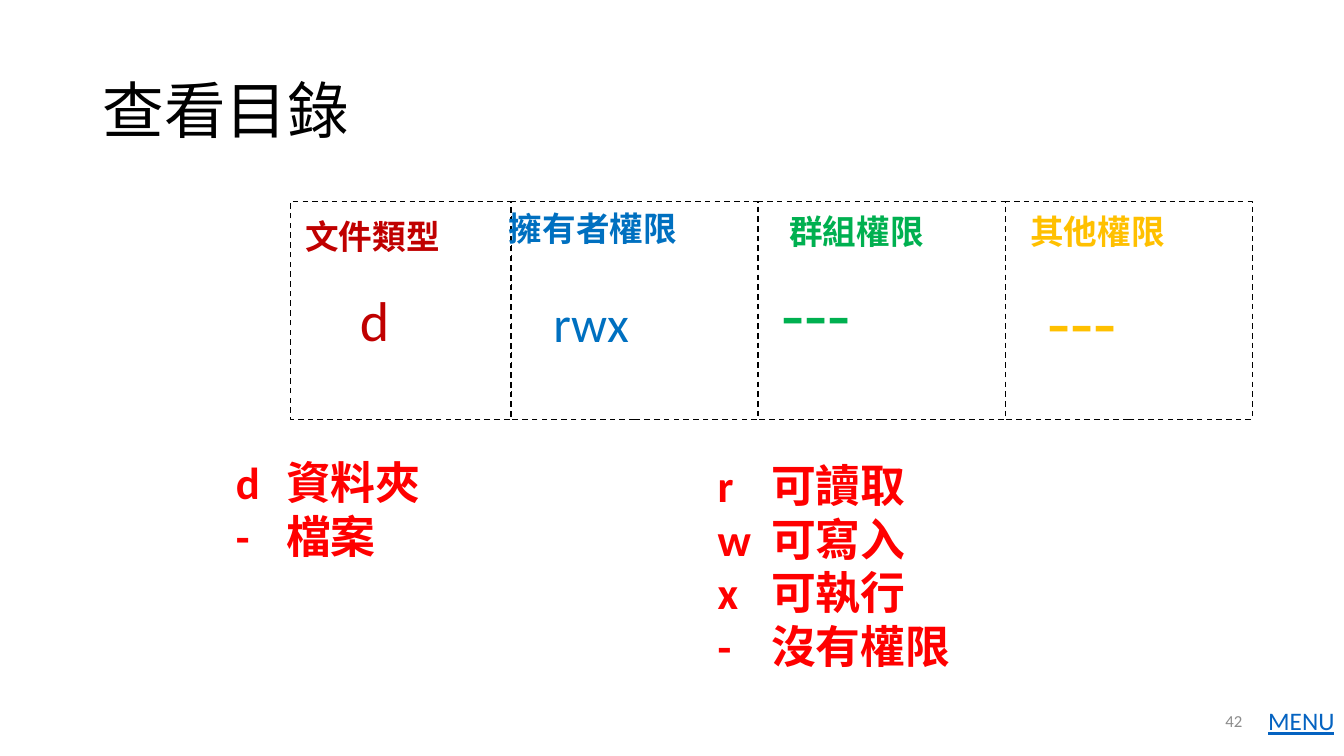
import pptx
import pptx.dml.color
import pptx.enum.dml
import pptx.enum.shapes
import pptx.enum.text
import pptx.util
from lxml import etree
from pptx.oxml.ns import qn
from pptx.util import Inches

COLORS = {
    "black": "000000",
    "type": "C00000",
    "owner": "0070C0",
    "group": "00B050",
    "other": "FFC000",
    "legend": "FF0000",
    "link": "0563C1",
    "number": "8C8C8C",
}
FONT = "Calibri"
ANCHOR = pptx.enum.text.MSO_ANCHOR
ALIGN = pptx.enum.text.PP_ALIGN


def rgb(name):
    return pptx.dml.color.RGBColor.from_string(COLORS[name])


def add_tab(p, position):
    tabs = etree.SubElement(p._p.get_or_add_pPr(), qn("a:tabLst"))
    etree.SubElement(tabs, qn("a:tab"), pos=str(Inches(position)), algn="l")


def add_text(s, box, lines, size, color, bold=False, underline=False, wrap=True,
             anchor=ANCHOR.TOP, align=ALIGN.LEFT, spacing=None, tab=None):
    sp = s.shapes.add_textbox(*(Inches(v) for v in box))
    tf = sp.text_frame
    tf.word_wrap = wrap
    tf.vertical_anchor = anchor
    for i, line in enumerate(lines):
        p = tf.paragraphs[0] if i == 0 else tf.add_paragraph()
        p.alignment = align
        if spacing:
            p.line_spacing = spacing
        if tab:
            add_tab(p, tab)
        r = p.add_run()
        r.text = line
        r.font.name = FONT
        r.font.size = pptx.util.Pt(size)
        r.font.bold = bold
        r.font.underline = underline
        r.font.color.rgb = rgb(color)
    return sp


def add_cell(s, left, width):
    sp = s.shapes.add_shape(pptx.enum.shapes.MSO_SHAPE.RECTANGLE, Inches(left),
                            Inches(2), Inches(width), Inches(2.16))
    sp.shadow.inherit = False
    sp.fill.background()
    sp.line.color.rgb = rgb("black")
    sp.line.width = pptx.util.Pt(1)
    sp.line.dash_style = pptx.enum.dml.MSO_LINE.DASH


def add_legend(s, box, entries, tab):
    lines = [f"{flag}\t{meaning}" for flag, meaning in entries]
    add_text(s, box, lines, 32, "legend", bold=True, tab=tab)


def main():
    prs = pptx.Presentation()
    prs.slide_width = Inches(13.33)
    prs.slide_height = Inches(7.5)
    s = prs.slides.add_slide(prs.slide_layouts[6])

    # Title
    add_text(s, (0.92, 0.4, 11.5, 1.45), ["查看目錄"], 44, "black",
             anchor=ANCHOR.MIDDLE, spacing=0.9)

    # Legends of file types and permission flags
    add_legend(s, (7.02, 4.49, 5.17, 2.26),
               [("r", "可讀取"), ("w", "可寫入"), ("x", "可執行"), ("-", "沒有權限")], 0.53)
    add_legend(s, (2.24, 4.46, 3.86, 1.58), [("d", "資料夾"), ("-", "檔案")], 0.5)

    # Dashed cells, side by side
    left = 2.88
    for width in (2.19, 2.45, 2.45, 2.45):
        add_cell(s, left, width)
        left += width

    # Heading and value of each cell
    fields = [
        ("type", "文件類型", (2.93, 2.09, 3.37, 0.5), "d", 40, (3.47, 2.78, 0.7, 0.95)),
        ("owner", "擁有者權限", (4.95, 2.01, 3.37, 0.5), "rwx", 36, (5.39, 2.85, 1.7, 1.61)),
        ("group", "群組權限", (7.73, 2.04, 2.15, 0.5), "---", 54, (7.65, 2.6, 1.96, 1.24)),
        ("other", "其他權限", (10.12, 2.04, 2.15, 0.5), "---", 54, (10.29, 2.68, 1.59, 1.24)),
    ]
    for color, heading, heading_box, value, size, value_box in fields:
        add_text(s, heading_box, [heading], 24, color, bold=True)
        add_text(s, value_box, [value], size, color)

    # Footer
    add_text(s, (9.42, 6.95, 3, 0.4), ["42"], 12, "number",
             anchor=ANCHOR.MIDDLE, align=ALIGN.RIGHT)
    add_text(s, (12.48, 6.95, 0.86, 0.4), ["MENU"], 18, "link",
             underline=True, wrap=False)

    prs.save("out.pptx")


if __name__ == "__main__":
    main()
